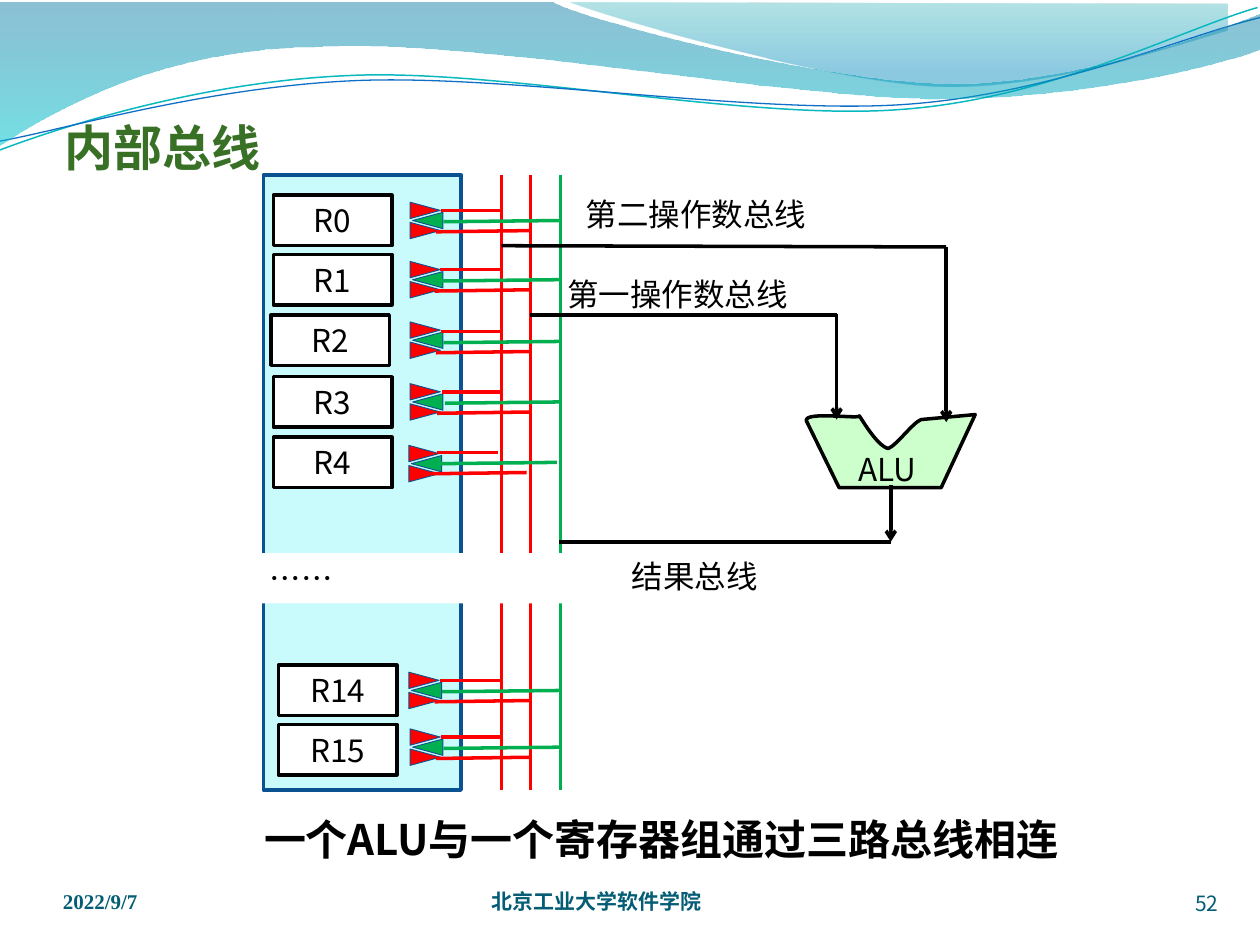
from math import cos, radians, sin
from lxml.etree import SubElement as Sub
from pptx import Presentation
from pptx.dml.color import RGBColor as Rgb
from pptx.enum.shapes import MSO_CONNECTOR as Con, MSO_SHAPE as Kind
from pptx.enum.text import MSO_ANCHOR as Anc, MSO_AUTO_SIZE as Auto, PP_ALIGN as Al
from pptx.oxml.ns import qn
from pptx.util import Cm, Pt

NOTO, RED, GREEN, BLACK, WHITE, NAVY, TEAL = (
    "Noto Sans CJK SC", "FF0000", "00B050", "000000", "FFFFFF", "0B5292", "045D75")

WAVES = [
    ([(4.53, .02), (4.83, .14, 6.56, .64, 7.42, .68), (8.29, .72, 9.35, .35, 9.74, .24),
      (9.74, .03)], [(0, "00A1A9", 30), (.8, "008BBF", 45)]),
    ([(-.01, .02), (4.39, .02), (4.75, .19, 6.62, .66, 7.57, .66),
      (8.52, .66, 9.57, .28, 9.99, .11), (10, .39), (9.82, .47, 8.69, .78, 7.45, .78),
      (6.21, .78, 3.81, .31, 2.56, .37), (1.28, .38, .45, .86, -.02, 1.16)],
     [(0, "0074A1", 45), (1, "00C6CF", 55)]),
]
TILT = 357.3
CURVES = [
    ([(0, 1.19), (.48, 1.01, 1.58, .65, 2.76, .6), (3.95, .54, 5.92, .96, 7.13, .87),
      (8.33, .79, 9.38, .23, 9.98, .06)], (4.99, .65), "0AB8BF", .85),
    ([(0, 1.12), (.47, 1.04, 1.63, .69, 2.83, .64), (4.02, .59, 5.97, .91, 7.17, .83),
      (8.36, .75, 9.41, .28, 10, .14)], (5, .67), "0F6FC6", .75),
]
ALU = [(6.4, 3.34), (6.38, 3.26, 6.84, 3.33, 6.82, 3.3), (6.83, 3.31, 6.96, 3.54, 7.05, 3.56),
       (7.12, 3.53, 7.24, 3.36, 7.31, 3.33), (7.74, 3.29), (7.47, 3.87), (6.66, 3.87)]
REGS = [
    ("R0", 2.17, 1.55, 3.31, 1.55, 0, 1.67), ("R1", 2.17, 2.02, 3.31, 2.02, -.01, 2.14),
    ("R2", 2.15, 2.5, 3.31, 2.5, 0, 2.63), ("R3", 2.17, 2.99, 3.31, 2.99, .01, 3.11),
    ("R4", 2.17, 3.47, 3.3, 3.48, -.03, 3.59), ("R14", 2.21, 5.28, 3.3, 5.28, -.01, 5.4),
    ("R15", 2.21, 5.75, 3.31, 5.73, 0, 5.85),
]
PORTS = [(0, 0, 90, RED), (0, .16, 90, RED), (.02, .08, 270, GREEN)]
BUSES = [(3.98, RED), (4.21, RED), (4.45, GREEN)]
TAPS = [(3.5, 3.98, 0, 0, RED), (3.46, 4.21, .17, .16, RED), (3.52, 4.45, .09, .08, GREEN)]
WIRES = [
    (3.98, 1.95, 7.51, 1.96, False), (4.21, 2.5, 6.64, 2.5, False),
    (7.51, 1.96, 7.51, 3.35, True), (6.64, 2.49, 6.64, 3.33, True),
    (4.44, 4.3, 7.07, 4.3, False), (7.07, 3.85, 7.07, 4.3, True),
]
NAMES = [("第一操作数总线", 4.39, 2.13, 1.97), ("第二操作数总线", 4.54, 1.5, 1.97),
         ("结果总线", 4.91, 4.37, 1.21)]
FEET = [("2022/9/7", .5, 6.88, 2.33, "Times New Roman", True, Al.LEFT),
        ("北京工业大学软件学院", 3.9, 6.88, 3.67, NOTO, True, Al.LEFT),
        ("52", 8.84, 6.9, .83, NOTO, False, Al.RIGHT)]


def inch(v):
    return Cm(2.54 * v)


def hue(code):
    return Rgb.from_string(code)


def write(shape, text, size=18, face=NOTO, color=BLACK, bold=False, al=Al.CENTER,
          anc=Anc.TOP, ins=(.1, .05, .1, .05), wrap=True):
    tf = shape.text_frame
    tf.text = text
    tf.word_wrap, tf.auto_size, tf.vertical_anchor = wrap, Auto.NONE, anc
    tf.margin_left, tf.margin_top, tf.margin_right, tf.margin_bottom = map(inch, ins)
    p = tf.paragraphs[0]
    p.alignment = al
    font = p.font
    font.size, font.name, font.bold = Pt(size), face, bold
    font.color.rgb = hue(color)
    Sub(p._p.pPr.find(qn("a:defRPr")), qn("a:ea"), typeface=face)


def paint(shape, fill=None, line=None, width=2):
    shape.shadow.inherit = False
    if fill:
        shape.fill.solid()
        shape.fill.fore_color.rgb = hue(fill)
    else:
        shape.fill.background()
    if line:
        shape.line.color.rgb = hue(line)
        shape.line.width = Pt(width)
    else:
        shape.line.fill.background()


def box(shapes, kind, x, y, w, h, fill, line=None, width=2):
    shape = shapes.add_shape(kind, *map(inch, (x, y, w, h)))
    paint(shape, fill, line, width)
    return shape


def label(shapes, text, x, y, w, h, **look):
    write(shapes.add_textbox(*map(inch, (x, y, w, h))), text, **look)


def wire(shapes, x1, y1, x2, y2, color, arrow=False):
    line = shapes.add_connector(Con.STRAIGHT, *map(inch, (x1, y1, x2, y2)))
    line.line.color.rgb = hue(color)
    line.line.width = Pt(2)
    if arrow:
        Sub(line.line._get_or_add_ln(), qn("a:tailEnd"), type="arrow")
    Sub(line._element.spPr, qn("a:effectLst"))


def pairs(step):
    return list(zip(step[::2], step[1::2]))


def turn(steps, mid, angle):
    c, s = cos(radians(angle)), sin(radians(angle))
    (mx, my), out = mid, []
    for step in steps:
        flat = []
        for x, y in pairs(step):
            dx, dy = x - mx, y - my
            flat += [mx + dx * c - dy * s, my + dx * s + dy * c]
        out.append(tuple(flat))
    return out


def outline(shapes, steps, close=True):
    ends = [(inch(s[-2]), inch(s[-1])) for s in steps]
    pen = shapes.build_freeform(*ends[0])
    pen.add_line_segments(ends[1:], close=close)
    shape = pen.convert_to_shape()
    for seg, step in zip(list(shape._element.iter(qn("a:lnTo"))), steps[1:]):
        if len(step) == 6:
            seg.tag = qn("a:cubicBezTo")
            seg.remove(seg[0])
            for x, y in pairs(step):
                Sub(seg, qn("a:pt"), x=str(inch(x) - shape.left), y=str(inch(y) - shape.top))
    return shape


def wave(shapes, steps, stops):
    shape = outline(shapes, steps)
    paint(shape)
    shape.fill.gradient()
    shape.fill.gradient_angle = 270
    for stop, (pos, color, _) in zip(shape.fill.gradient_stops, stops):
        stop.position, stop.color.rgb = pos, hue(color)
    for clr, (_, _, alpha) in zip(shape._element.iter(qn("a:srgbClr")), stops):
        Sub(clr, qn("a:alpha"), val=str(alpha * 1000))


def main():
    deck = Presentation()
    deck.slide_width, deck.slide_height = inch(10), inch(7.5)
    slide = deck.slides.add_slide(deck.slide_layouts[5])
    shapes = slide.shapes
    title = shapes.title
    title.left, title.top, title.width, title.height = map(inch, (.51, .78, 9, .62))
    write(title, "内部总线", 28, color="387026", bold=True, al=Al.LEFT,
          anc=Anc.BOTTOM, ins=(0, .05, 0, 0))

    wave(shapes, *WAVES[0])
    for steps, mid, color, width in CURVES:
        curve = outline(shapes, turn(steps, mid, -TILT), False)
        curve.rotation = TILT
        paint(curve, None, color, width)
    wave(shapes, *WAVES[1])
    for text, x, y, w, face, bold, al in FEET:
        label(shapes, text, x, y, w, .37, size=12, face=face, color=TEAL, bold=bold,
              al=al, anc=Anc.BOTTOM, ins=(0, 0, 0, 0))
    label(shapes, "一个ALU与一个寄存器组通过三路总线相连", .75, 6.41, 9, .39, size=24, bold=True)

    box(shapes, Kind.RECTANGLE, 2.09, 1.39, 1.57, 4.88, "C9FAFC", NAVY)
    for x, color in BUSES:
        wire(shapes, x, 1.39, x, 6.27, color)
    for name, x, y, px, py, dx, ty in REGS:
        write(box(shapes, Kind.RECTANGLE, x, y, .94, .4, WHITE, BLACK), name)
        for ox, oy, angle, color in PORTS:
            port = box(shapes, Kind.ISOSCELES_TRIANGLE, px + ox, py + oy, .13, .24,
                       color, NAVY, .5)
            port.rotation = angle
        for x1, x2, y1, y2, color in TAPS:
            wire(shapes, x1 + dx, ty + y1, x2 + dx, ty + y2, color)
    gap = box(shapes, Kind.RECTANGLE, 1.93, 4.39, 2.68, .4, WHITE)
    write(gap, "……", al=Al.LEFT, ins=(.21, .05, .1, .05))

    alu = outline(shapes, ALU)
    paint(alu, "CCFFCC", BLACK)
    write(alu, "ALU", anc=Anc.MIDDLE, ins=(.1, .28, .15, 0))
    for x1, y1, x2, y2, arrow in WIRES:
        wire(shapes, x1, y1, x2, y2, BLACK, arrow)
    for text, x, y, w in NAMES:
        label(shapes, text, x, y, w, .4, face="Arial", wrap=False)
    deck.save("out.pptx")


if __name__ == "__main__":
    main()
